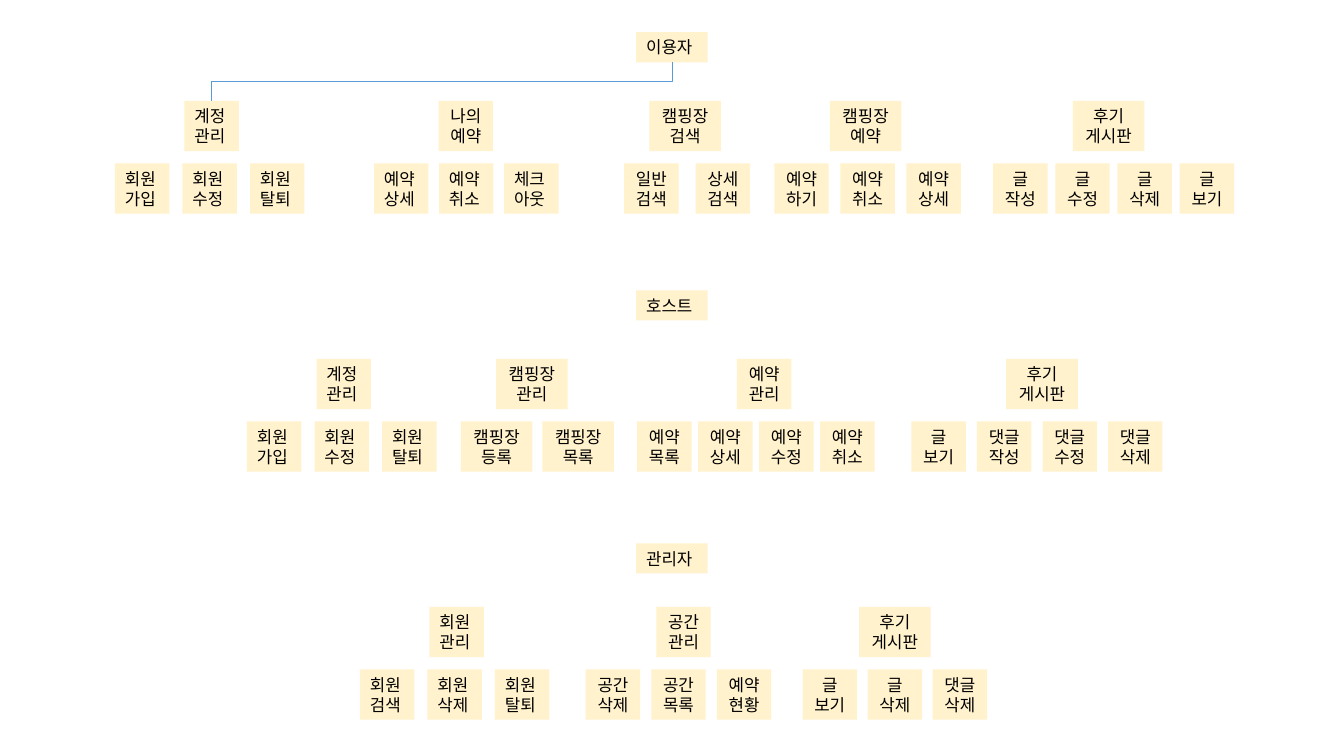
from dataclasses import dataclass

import lxml.etree
import pptx
import pptx.dml.color
import pptx.enum.shapes
import pptx.enum.text
import pptx.oxml.ns
import pptx.util

GRID_COLUMNS, GRID_ROWS = 1333, 750
SLIDE_WIDTH, SLIDE_HEIGHT = pptx.util.Inches(13.33), pptx.util.Inches(7.5)
NARROW, WIDE = 54, 71
ONE_LINE, TWO_LINES = 30, 50
ROLE_LEFT = 631
ITEM_DROP = 62
FONT = "Noto Sans CJK KR"
LEFT = pptx.enum.text.PP_ALIGN.LEFT
CENTER = pptx.enum.text.PP_ALIGN.CENTER


@dataclass(frozen=True)
class Group:
    title: str
    title_left: float
    items: tuple[str, ...]
    items_left: float
    step: float
    title_align: pptx.enum.text.PP_ALIGN = CENTER
    items_align: pptx.enum.text.PP_ALIGN = CENTER


@dataclass(frozen=True)
class Role:
    name: str
    top: float
    groups_top: float
    groups: tuple[Group, ...]


ROLES = (
    Role("이용자", 32, 100, (
        Group("계정 관리", 183, ("회원 가입", "회원 수정", "회원 탈퇴"), 114, 67, LEFT, LEFT),
        Group("나의 예약", 435, ("예약 상세", "예약 취소", "체크 아웃"), 371, 64.5, CENTER, LEFT),
        Group("캠핑장 검색", 644, ("일반 검색", "상세 검색"), 619, 71),
        Group("캠핑장 예약", 823, ("예약 하기", "예약 취소", "예약 상세"), 768, 65.5),
        Group("후기 게시판", 1064, ("글 작성", "글 수정", "글 삭제", "글 보기"), 985, 61.7),
    )),
    Role("호스트", 288, 356, (
        Group("계정 관리", 314, ("회원 가입", "회원 수정", "회원 탈퇴"), 245, 67, LEFT, LEFT),
        Group("캠핑장 관리", 492, ("캠핑장 등록", "캠핑장 목록"), 457, 81),
        Group("예약 관리", 731, ("예약 목록", "예약 상세", "예약 수정", "예약 취소"), 632, 60.5),
        Group("후기 게시판", 998, ("글 보기", "댓글 작성", "댓글 수정", "댓글 삭제"), 904, 65),
    )),
    Role("관리자", 539, 602, (
        Group("회원 관리", 426, ("회원 검색", "회원 삭제", "회원 탈퇴"), 357, 67, LEFT, LEFT),
        Group("공간 관리", 651, ("공간 삭제", "공간 목록", "예약 현황"), 581, 65),
        Group("후기 게시판", 852, ("글 보기", "글 삭제", "댓글 삭제"), 796, 64.5),
    )),
)


def across(columns: float) -> int:
    return round(SLIDE_WIDTH * columns / GRID_COLUMNS)


def down(rows: float) -> int:
    return round(SLIDE_HEIGHT * rows / GRID_ROWS)


def color(value: str) -> pptx.dml.color.RGBColor:
    return pptx.dml.color.RGBColor.from_string(value)


def add_label(page, text: str, left: float, top: float, align):
    lines = text.split()
    width = WIDE if max(map(len, lines)) > 2 else NARROW
    height = TWO_LINES if len(lines) > 1 else ONE_LINE
    box = page.shapes.add_textbox(across(left), down(top), across(width), down(height))
    box.fill.solid()
    box.fill.fore_color.rgb = color("FFF2CC")
    frame = box.text_frame
    frame.word_wrap = False
    frame.auto_size = pptx.enum.text.MSO_AUTO_SIZE.SHAPE_TO_FIT_TEXT
    frame.text = "\n".join(lines)
    for para in frame.paragraphs:
        para.alignment = align
        para.font.size = pptx.util.Pt(12)
        para.font.color.rgb = color("000000")
        para.font.name = FONT
        properties = para._p.pPr.find(pptx.oxml.ns.qn("a:defRPr"))
        east_asian = lxml.etree.SubElement(properties, pptx.oxml.ns.qn("a:ea"))
        east_asian.set("typeface", FONT)
    return box


def add_group(page, group: Group, top: float):
    title = add_label(page, group.title, group.title_left, top, group.title_align)
    for index, item in enumerate(group.items):
        left = group.items_left + index * group.step
        add_label(page, item, left, top + ITEM_DROP, group.items_align)
    return title


def link_upward(page, child, parent) -> None:
    elbow = pptx.enum.shapes.MSO_CONNECTOR.ELBOW
    link = page.shapes.add_connector(elbow, 0, 0, 0, 0)
    link.begin_connect(child, 0)
    link.end_connect(parent, 2)
    middle_x = (link.begin_x + link.end_x) // 2
    middle_y = (link.begin_y + link.end_y) // 2
    half_width, half_height = link.width // 2, link.height // 2
    link.begin_x, link.end_x = middle_x + half_height, middle_x - half_height
    link.begin_y, link.end_y = middle_y + half_width, middle_y - half_width
    properties = link._element.spPr
    properties.find(pptx.oxml.ns.qn("a:xfrm")).set("rot", str(90 * 60000))
    link.line.color.rgb = color("5B9BD5")
    link.line.width = pptx.util.Pt(0.5)
    lxml.etree.SubElement(properties, pptx.oxml.ns.qn("a:effectLst"))


deck = pptx.Presentation()
deck.slide_width, deck.slide_height = SLIDE_WIDTH, SLIDE_HEIGHT
page = deck.slides.add_slide(deck.slide_layouts[6])
links = []
for role in ROLES:
    role_box = add_label(page, role.name, ROLE_LEFT, role.top, LEFT)
    titles = [add_group(page, group, role.groups_top) for group in role.groups]
    links.append((titles[0], role_box))
link_upward(page, *links[0])
deck.save("out.pptx")
